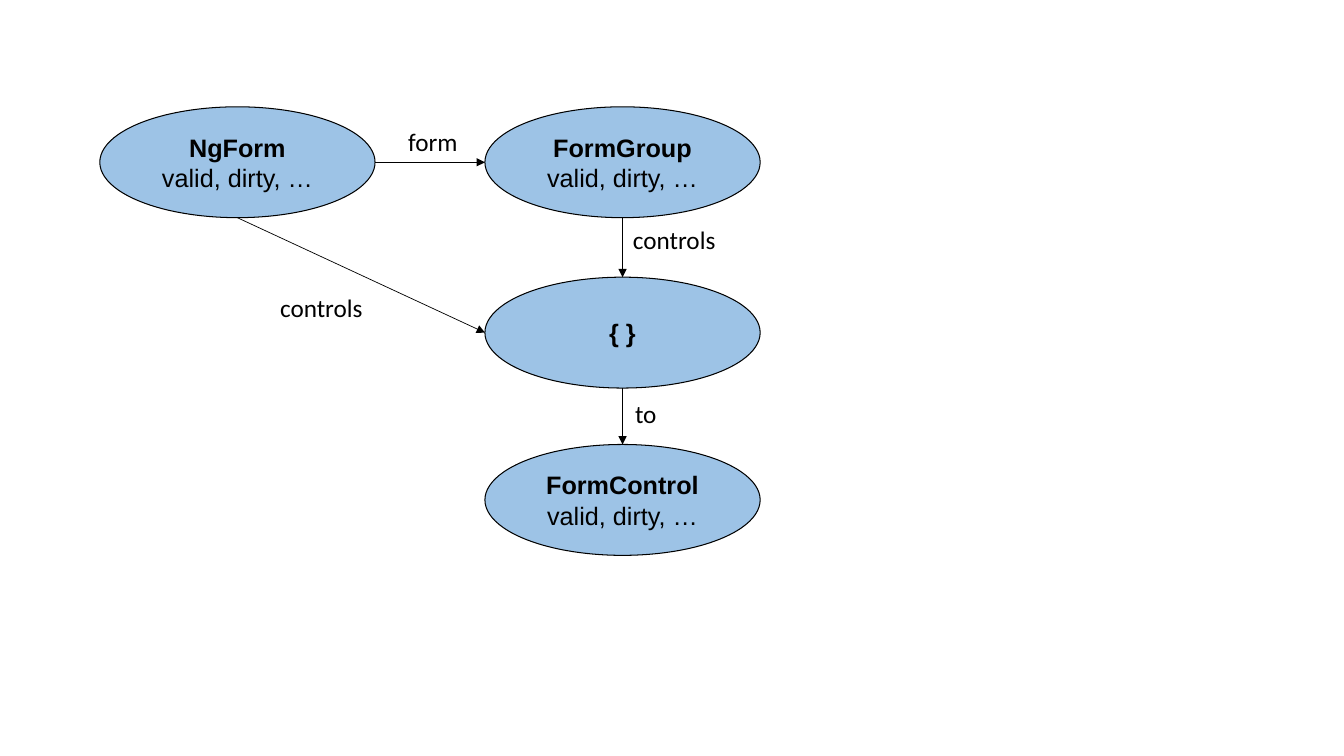
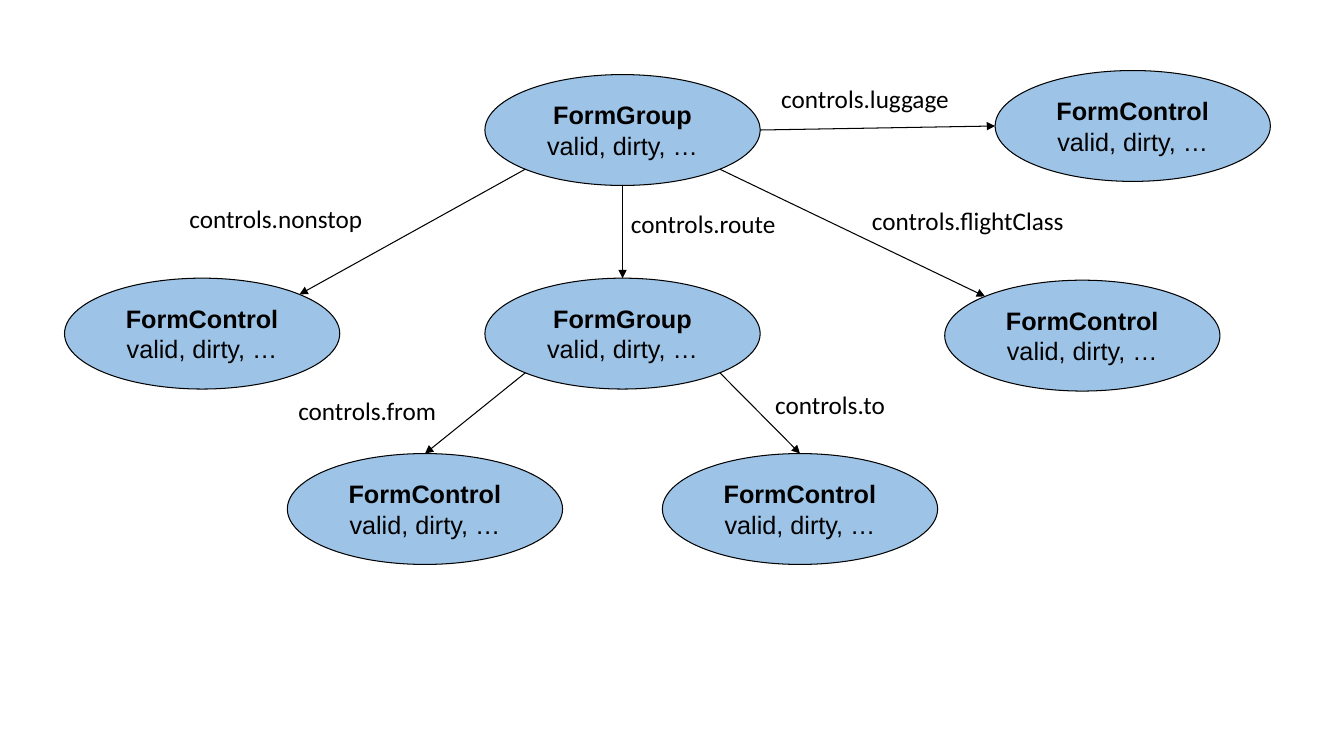
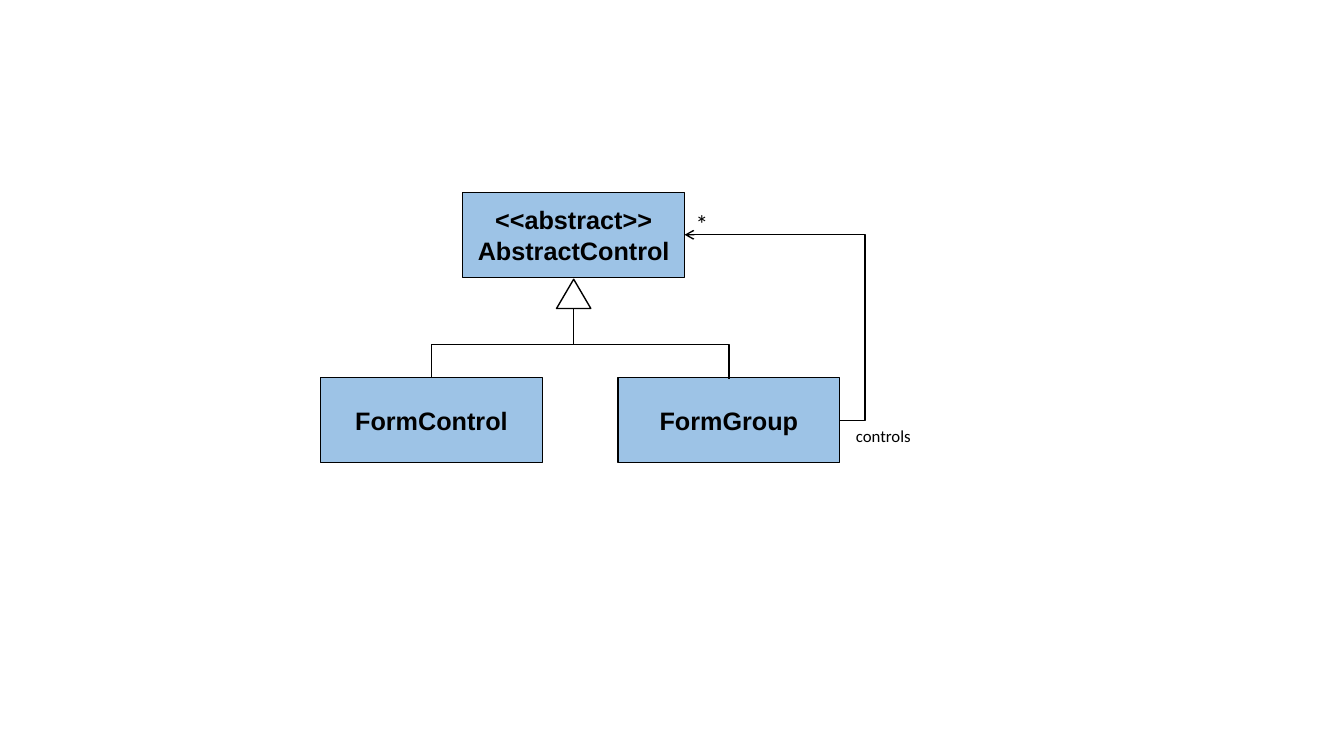
from math import sqrt

from lxml import etree
from pptx import Presentation
from pptx.dml.color import RGBColor
from pptx.enum import shapes, text
from pptx.oxml.ns import qn
from pptx.util import Inches, Pt

COLORS = {"node": "9DC3E6", "ink": "000000"}
STATE = "valid, dirty, …"
OVAL_SIZE = (2.73, 1.1)
BOX_SIZE = (2.2, 0.84)

# Sides of a node, as steps from its centre
TOP, BOTTOM, LEFT, RIGHT = (0, -1), (0, 1), (-1, 0), (1, 0)
LOWER_LEFT, LOWER_RIGHT = (-1, 1), (1, 1)
UPPER_LEFT, UPPER_RIGHT = (-1, -1), (1, -1)


def add_text(p, content, size=18, font="Arial", bold=False, align=None):
    """Add one formatted run to a paragraph."""
    p.alignment = align
    r = p.add_run()
    r.text = content
    r.font.size, r.font.name, r.font.bold = Pt(size), font, bold
    r.font.color.rgb = RGBColor.from_string(COLORS["ink"])


def site(sp, side):
    """Point on the outline of an oval, or mid-side of a box."""
    dx, dy = side
    reach = sqrt(0.5) if dx and dy else 1
    return (sp.left + sp.width * (1 + dx * reach) / 2,
            sp.top + sp.height * (1 + dy * reach) / 2)


class Diagram:
    def __init__(self, prs):
        self.prs = prs
        self.slide = None

    def new_slide(self):
        self.slide = self.prs.slides.add_slide(self.prs.slide_layouts[6])

    def shape(self, kind, x, y, size, fill=None, width=0.75):
        sp = self.slide.shapes.add_shape(
            kind, Inches(x), Inches(y), Inches(size[0]), Inches(size[1]))
        sp.shadow.inherit = False
        if fill:
            sp.fill.solid()
            sp.fill.fore_color.rgb = RGBColor.from_string(COLORS[fill])
        else:
            sp.fill.background()
        sp.line.color.rgb = RGBColor.from_string(COLORS["ink"])
        sp.line.width = Pt(width)
        return sp

    def node(self, kind, x, y, size, lines):
        """Filled shape with centred (text, bold) lines."""
        sp = self.shape(kind, x, y, size, fill="node")
        tf = sp.text_frame
        tf.word_wrap = False
        tf.vertical_anchor = text.MSO_ANCHOR.MIDDLE
        for i, (content, bold) in enumerate(lines):
            p = tf.add_paragraph() if i else tf.paragraphs[0]
            add_text(p, content, bold=bold, align=text.PP_ALIGN.CENTER)
        return sp

    def oval(self, x, y, name, state=STATE):
        lines = [(name, True)] + ([(state, False)] if state else [])
        return self.node(shapes.MSO_SHAPE.OVAL, x, y, OVAL_SIZE, lines)

    def box(self, x, y, *names):
        return self.node(shapes.MSO_SHAPE.RECTANGLE, x, y, BOX_SIZE,
                         [(name, True) for name in names])

    def label(self, x, y, w, content, h=0.4, size=18, wrap=False):
        sp = self.slide.shapes.add_textbox(
            Inches(x), Inches(y), Inches(w), Inches(h))
        tf = sp.text_frame
        tf.word_wrap = wrap
        tf.auto_size = text.MSO_AUTO_SIZE.SHAPE_TO_FIT_TEXT
        add_text(tf.paragraphs[0], content, size=size, font="Calibri")

    def line(self, start, end, width=0.75, head=None,
             kind=shapes.MSO_CONNECTOR.STRAIGHT):
        c = self.slide.shapes.add_connector(
            kind, *(round(v) for v in (*start, *end)))
        c.line.color.rgb = RGBColor.from_string(COLORS["ink"])
        c.line.width = Pt(width)
        if head:
            etree.SubElement(c.line._get_or_add_ln(), qn("a:tailEnd"), type=head)
        etree.SubElement(c._element.spPr, qn("a:effectLst"))
        return c

    def link(self, a, a_side, b, b_side, width=0.75):
        self.line(site(a, a_side), site(b, b_side), width, head="triangle")

    def bent(self, start, end, bend, head=None, upright=False):
        """Elbow line; bend is the length of its first leg."""
        (x0, y0), (x1, y1) = start, end
        if upright:  # lay the line out sideways, then turn it by 270 degrees
            cx, cy = (x0 + x1) / 2, (y0 + y1) / 2
            w, h = y0 - y1, x0 - x1
            x0, y0, x1, y1 = cx - w / 2, cy + h / 2, cx + w / 2, cy - h / 2
        c = self.line((x0, y0), (x1, y1), 1, head, shapes.MSO_CONNECTOR.ELBOW)
        spPr = c._element.spPr
        if upright:
            spPr.find(qn("a:xfrm")).set("rot", str(270 * 60000))
        share = round(bend / abs(x1 - x0) * 100000)
        guides = spPr.find(qn("a:prstGeom")).find(qn("a:avLst"))
        etree.SubElement(guides, qn("a:gd"), name="adj1", fmla=f"val {share}")


prs = Presentation()
prs.slide_width, prs.slide_height = Inches(13.33), Inches(7.5)
d = Diagram(prs)

# Slide 1: template-driven form
d.new_slide()
form = d.oval(0.99, 1.06, "NgForm")
group = d.oval(4.81, 1.06, "FormGroup")
controls = d.oval(4.81, 2.75, "{ }", state=None)
control = d.oval(4.81, 4.41, "FormControl")
d.link(group, BOTTOM, controls, TOP)
d.link(controls, BOTTOM, control, TOP)
d.link(form, RIGHT, group, LEFT, width=0.5)
d.link(form, BOTTOM, controls, LEFT, width=0.5)
for x, y, w, name in [(6.18, 2.18, 1.03, "controls"), (6.2, 3.9, 0.42, "to"),
                      (3.95, 1.2, 0.7, "form"), (2.68, 2.85, 1.03, "controls")]:
    d.label(x, y, w, name)

# Slide 2: nested form groups
d.new_slide()
root = d.oval(4.81, 0.74, "FormGroup")
route = d.oval(4.81, 2.76, "FormGroup")
flight_class, nonstop, luggage, origin, target = [
    d.oval(x, y, "FormControl")
    for x, y in [(9.37, 2.78), (0.64, 2.76), (9.87, 0.7), (2.85, 4.5), (6.57, 4.5)]]
d.link(root, BOTTOM, route, TOP)
d.link(root, LOWER_LEFT, nonstop, UPPER_RIGHT)
d.link(root, LOWER_RIGHT, flight_class, UPPER_LEFT)
d.link(root, RIGHT, luggage, LEFT)
d.link(route, LOWER_LEFT, origin, TOP)
d.link(route, LOWER_RIGHT, target, TOP)
for x, y, w, name in [(6.16, 2.02, 1.65, "route"), (8.55, 1.99, 2.12, "flightClass"),
                      (7.65, 0.78, 1.88, "luggage"), (1.78, 1.97, 1.93, "nonstop"),
                      (2.86, 3.87, 1.58, "from"), (7.59, 3.81, 1.3, "to")]:
    d.label(x, y, w, f"controls.{name}")

# Slide 3: class diagram
d.new_slide()
base = d.box(4.59, 1.91, "<<abstract>>", "AbstractControl")
control = d.box(3.18, 3.75, "FormControl")
group = d.box(6.13, 3.75, "FormGroup")
triangle = d.shape(shapes.MSO_SHAPE.ISOSCELES_TRIANGLE, 5.52, 2.77, (0.34, 0.29), width=1)

# Inheritance
x, y = site(group, TOP)
d.bent((x, y + Inches(0.01)), site(control, TOP), Inches(0.35), upright=True)
foot = site(triangle, BOTTOM)
d.line(foot, (foot[0], Inches(3.41)), width=1)

# Aggregation
d.bent(site(group, RIGHT), site(base, RIGHT), Inches(-0.25), head="arrow")
d.label(6.9, 2.02, 0.05, "*", wrap=True)
d.label(8.39, 4.17, 1.54, "controls", h=0.3, size=12, wrap=True)

prs.save("out.pptx")
